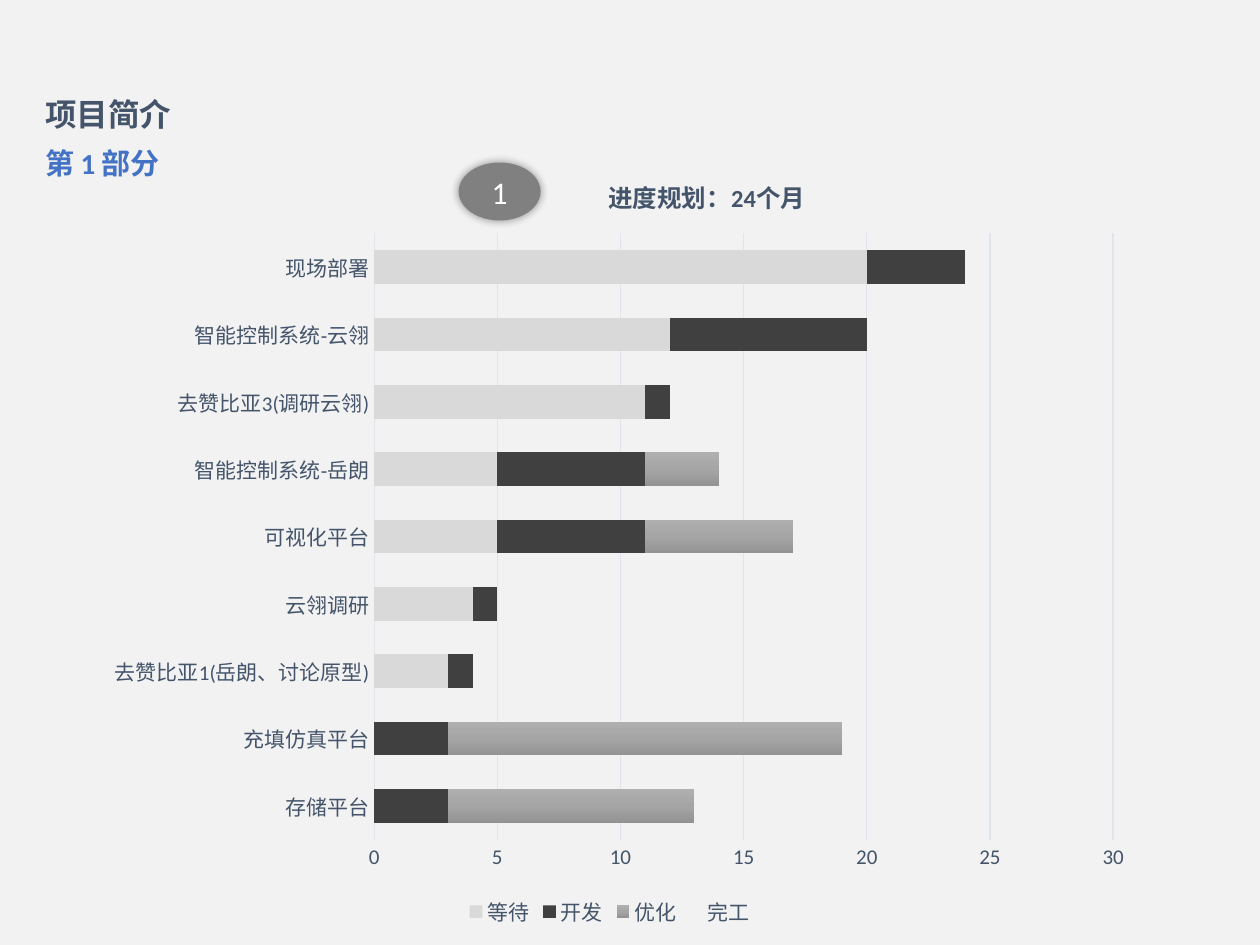
from typing import NamedTuple, Optional

from copy import deepcopy
from lxml import etree
from pptx import Presentation
from pptx import util as u
from pptx.chart.data import CategoryChartData
from pptx.dml.color import RGBColor
from pptx.enum import chart as ch, shapes, text
from pptx.oxml import parse_xml
from pptx.oxml.ns import nsdecls, qn

COLORS = {
    "background": "F2F2F2", "navy": "44546A", "blue": "4472C4", "white": "FFFFFF",
    "badge": "808080", "grid": "E0E5EB", "waiting": "D9D9D9", "development": "404040",
}
LATIN, CJK = "Calibri", "Noto Sans CJK SC"
OPTIMISING_GRADIENT = ["AFAFAF", "A5A5A5", "939393"]
TASKS = ["存储平台", "充填仿真平台", "去赞比亚1(岳朗、讨论原型)", "云翎调研", "可视化平台",
         "智能控制系统-岳朗", "去赞比亚3(调研云翎)", "智能控制系统-云翎", "现场部署"]


class Phase(NamedTuple):
    name: str
    months: list[Optional[int]]
    color: Optional[str] = None
    gradient: Optional[list[str]] = None


class Heading(NamedTuple):
    wording: str
    box: tuple[float, float, float, float]
    size: float
    color: str
    font: str
    spacing: float


PHASES = [
    Phase("等待", [0, 0, 3, 4, 5, 5, 11, 12, 20], "waiting"),
    Phase("开发", [3, 3, 1, 1, 6, 6, 1, 8, 4], "development"),
    Phase("优化", [10, 16, 0, None, 6, 3, 0, 0, 0], gradient=OPTIMISING_GRADIENT),
    Phase("完工", [0, 4, 4, None, 8, None, 0, 0, 0]),
]
HEADINGS = [
    Heading("第 1 部分", (0.26, 1.16, 2.88, 0.34), 16.6, "blue", LATIN, 0.8),
    Heading("项目简介", (0.26, 0.74, 2.88, 0.58), 18, "navy", CJK, 0.9),
    Heading("进度规划：24个月", (4.73, 1.33, 1.78, 0.38), 14, "navy", LATIN, 1.3),
]


def rgb(name: str) -> RGBColor:
    return RGBColor.from_string(COLORS[name])


def inches(box) -> list[u.Length]:
    return [u.Inches(value) for value in box]


def write(frame, wording: str, *, size: float, color: str, font: str = LATIN,
          bold: bool = False, spacing: float = 1.0, align=text.PP_ALIGN.LEFT,
          anchor=text.MSO_ANCHOR.TOP) -> None:
    frame.word_wrap = True
    frame.vertical_anchor = anchor
    paragraph = frame.paragraphs[0]
    paragraph.alignment = align
    paragraph.line_spacing = spacing
    run = paragraph.add_run()
    run.text = wording
    run.font.size, run.font.bold, run.font.name = u.Pt(size), bold, font
    run.font.color.rgb = rgb(color)
    etree.SubElement(run.font._element, qn("a:ea"), typeface=CJK)


def add_heading(slide, heading: Heading) -> None:
    box = slide.shapes.add_textbox(*inches(heading.box))
    write(box.text_frame, heading.wording, size=heading.size, color=heading.color,
          font=heading.font, bold=True, spacing=heading.spacing)


def add_badge(slide) -> None:
    badge = slide.shapes.add_shape(shapes.MSO_SHAPE.OVAL, *inches((3.64, 1.29, 0.65, 0.46)))
    badge.fill.solid()
    badge.fill.fore_color.rgb = rgb("badge")
    badge.line.fill.background()
    badge.shadow.inherit = False
    glow = parse_xml(
        f'<a:outerShdw {nsdecls("a")} blurRad="{u.Pt(5)}" dist="0" dir="0">'
        '<a:srgbClr val="000000"><a:alpha val="40000"/></a:srgbClr></a:outerShdw>')
    badge._element.spPr.find(qn("a:effectLst")).append(glow)
    write(badge.text_frame, "1", size=18, color="white",
          align=text.PP_ALIGN.CENTER, anchor=text.MSO_ANCHOR.MIDDLE)


def style_font(font, size: float = 12) -> None:
    font.size, font.name = u.Pt(size), LATIN
    font.color.rgb = rgb("navy")


def style_line(line) -> None:
    line.color.rgb = rgb("grid")
    line.width = u.Pt(0.75)


def fill_gradient(series, colors: list[str]) -> None:
    """Spread the colours evenly from top to bottom."""
    fill = series.format.fill
    fill.gradient()
    fill.gradient_angle = 270
    stop_list = series._element.find(".//" + qn("a:gsLst"))
    while len(stop_list) < len(colors):
        stop_list.append(deepcopy(stop_list[0]))
    for index, (stop, color) in enumerate(zip(fill.gradient_stops, colors)):
        stop.position = index / (len(colors) - 1)
        stop.color.rgb = RGBColor.from_string(color)


def fill_series(series, phase: Phase) -> None:
    series.invert_if_negative = False
    if phase.gradient:
        fill_gradient(series, phase.gradient)
    elif phase.color:
        series.format.fill.solid()
        series.format.fill.fore_color.rgb = rgb(phase.color)
    else:
        series.format.fill.background()
    series.format.line.fill.background()


def place_plot(chart, x: float, y: float, w: float, h: float) -> None:
    """Fix the inner plot area, in fractions of the chart."""
    area = chart._chartSpace.chart.plotArea
    for old in area.findall(qn("c:layout")):
        area.remove(old)
    sizes = "".join(f'<c:{tag} val="{value}"/>' for tag, value in zip("xywh", (x, y, w, h)))
    area.insert(0, parse_xml(
        f'<c:layout {nsdecls("c")}><c:manualLayout><c:layoutTarget val="inner"/>'
        f'<c:xMode val="edge"/><c:yMode val="edge"/>{sizes}</c:manualLayout></c:layout>'))


def add_schedule(slide) -> None:
    data = CategoryChartData()
    data.categories = TASKS
    for phase in PHASES:
        data.add_series(phase.name, phase.months)
    chart = slide.shapes.add_chart(
        ch.XL_CHART_TYPE.BAR_STACKED, *inches((0.59, 1.74, 8.5, 5.66)), data).chart
    style_font(chart.font, 10)
    chart.has_title = False
    chart.has_legend = True
    chart.legend.position = ch.XL_LEGEND_POSITION.BOTTOM
    chart.legend.include_in_layout = False
    style_font(chart.legend.font)

    plot = chart.plots[0]
    plot.gap_width, plot.overlap, plot.vary_by_categories = 100, 100, False
    for series, phase in zip(plot.series, PHASES):
        fill_series(series, phase)

    tasks, months = chart.category_axis, chart.value_axis
    for axis in (tasks, months):
        axis.major_tick_mark = axis.minor_tick_mark = ch.XL_TICK_MARK.NONE
        style_font(axis.tick_labels.font)
    style_line(tasks.format.line)
    months.format.line.fill.background()
    months.minimum_scale, months.maximum_scale, months.major_unit = 0, 30, 5
    style_line(months.major_gridlines.format.line)
    place_plot(chart, 0.28, 0.02, 0.69, 0.85)


def main() -> None:
    deck = Presentation()
    deck.slide_width, deck.slide_height = u.Inches(10), u.Inches(7.5)
    slide = deck.slides.add_slide(deck.slide_layouts[6])
    slide.background.fill.solid()
    slide.background.fill.fore_color.rgb = rgb("background")
    *part_titles, schedule_title = HEADINGS
    for heading in part_titles:
        add_heading(slide, heading)
    add_badge(slide)
    add_heading(slide, schedule_title)
    add_schedule(slide)
    deck.save("out.pptx")


if __name__ == "__main__":
    main()
